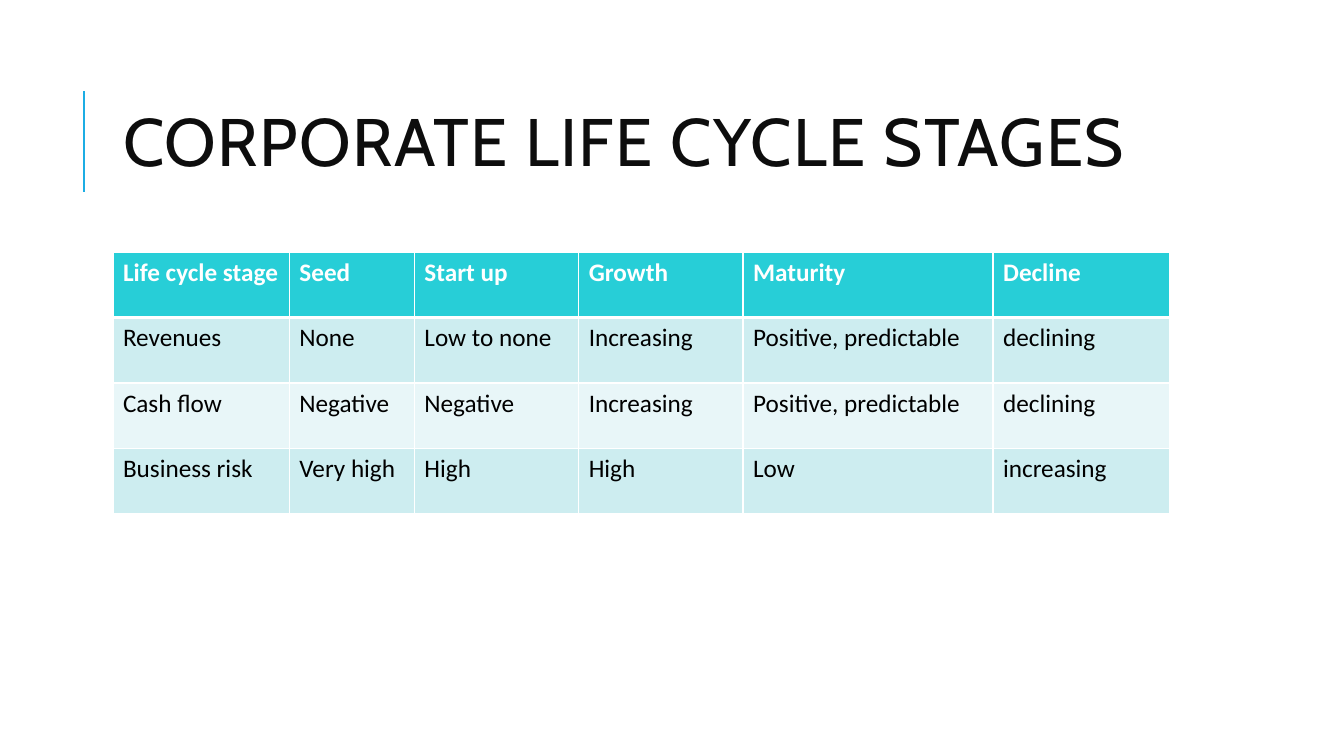
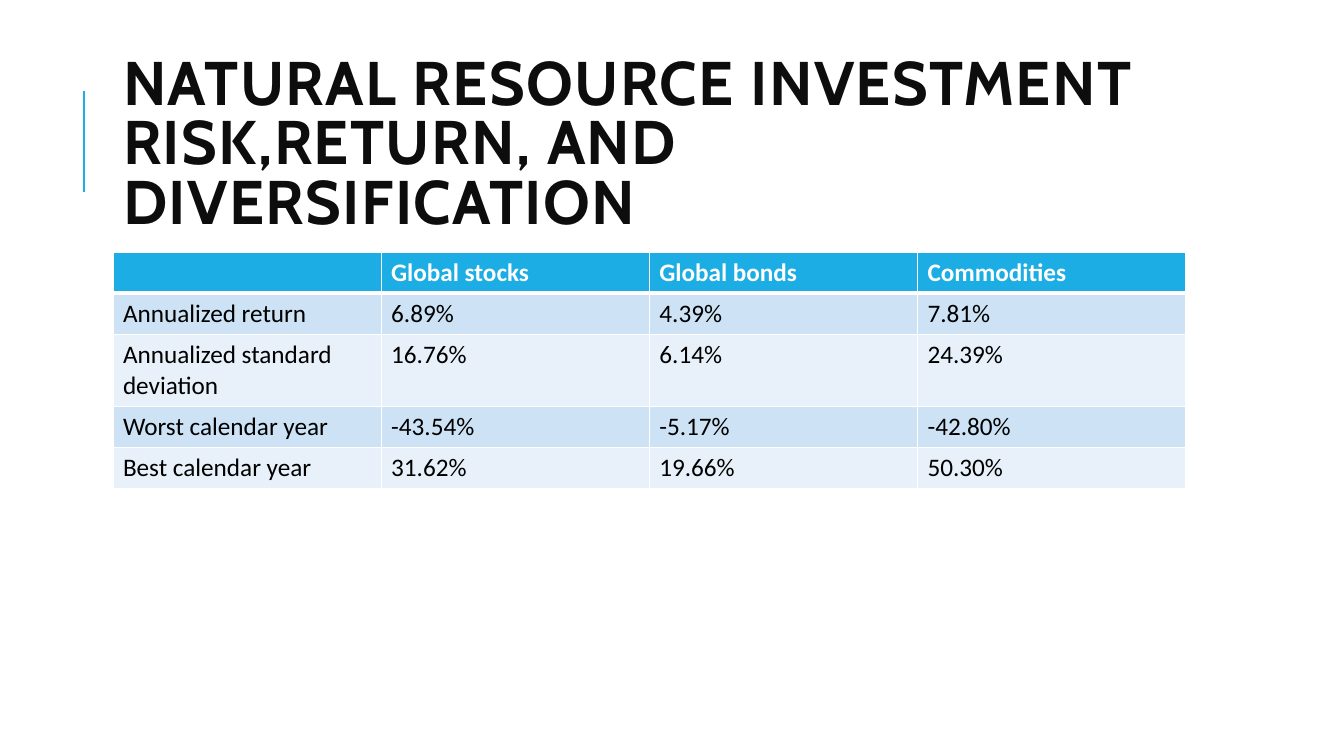
import pptx
import pptx.dml.color
import pptx.enum.shapes
import pptx.enum.text
import pptx.oxml.ns
import pptx.util
from lxml import etree

Inches = pptx.util.Inches
Pt = pptx.util.Pt

WHITE = "FFFFFF"
BLACK = "000000"
TITLE_COLOR = "0D0D0D"
ACCENT = "1CADE4"
TEAL_SCHEME = ("27CED7", "CDEDF0", "E8F6F8")
BLUE_SCHEME = (ACCENT, "CDE3F5", "E8F1FA")
TITLE_FONT = "Cabin"
BODY_FONT = "Calibri"
TITLE_BOX = (1.12, 0.64, 10.63, 1.64)

LIFE_CYCLE_ROWS = [
    ["Life cycle stage", "Seed", "Start up", "Growth", "Maturity", "Decline"],
    ["Revenues", "None", "Low to none", "Increasing", "Positive, predictable", "declining"],
    ["Cash flow", "Negative", "Negative", "Increasing", "Positive, predictable", "declining"],
    ["Business risk", "Very high", "High", "High", "Low", "increasing"],
]
RETURN_ROWS = [
    ["", "Global stocks", "Global bonds", "Commodities"],
    ["Annualized return", "6.89%", "4.39%", "7.81%"],
    ["Annualized standard deviation", "16.76%", "6.14%", "24.39%"],
    ["Worst calendar year", "-43.54%", "-5.17%", "-42.80%"],
    ["Best calendar year", "31.62%", "19.66%", "50.30%"],
]


def rgb(hex_color):
    return pptx.dml.color.RGBColor.from_string(hex_color)


def write_text(text_frame, text, *, size, font, color, bold=False, line_spacing=None, tracking=None):
    paragraph = text_frame.paragraphs[0]
    paragraph.alignment = pptx.enum.text.PP_ALIGN.LEFT
    if line_spacing:
        paragraph.line_spacing = line_spacing
    run = paragraph.add_run()
    run.text = text
    run.font.size = Pt(size)
    run.font.name = font
    run.font.bold = bold
    run.font.color.rgb = rgb(color)
    if tracking:
        run.font._element.set("spc", str(tracking * 100))


def add_title(slide, box, text, size, bold):
    left, top, width, height = box
    title = slide.shapes.title
    title.left, title.top = Inches(left), Inches(top)
    title.width, title.height = Inches(width), Inches(height)
    text_frame = title.text_frame
    text_frame.word_wrap = True
    text_frame.auto_size = pptx.enum.text.MSO_AUTO_SIZE.NONE
    text_frame.vertical_anchor = pptx.enum.text.MSO_ANCHOR.MIDDLE
    write_text(text_frame, text, size=size, font=TITLE_FONT, color=TITLE_COLOR,
               bold=bold, line_spacing=0.8, tracking=1)

    rule_x = Inches(left - 0.29)
    rule = slide.shapes.add_connector(
        pptx.enum.shapes.MSO_CONNECTOR.STRAIGHT,
        rule_x, Inches(top + 1.26), rule_x, Inches(top + 0.26))
    rule.line.color.rgb = rgb(ACCENT)
    rule.line.width = Pt(1.5)
    etree.SubElement(rule._element.spPr, pptx.oxml.ns.qn("a:effectLst"))


def set_borders(cell, top, bottom):
    properties = cell._tc.get_or_add_tcPr()
    for side, width in (("L", 1), ("R", 1), ("T", top), ("B", bottom)):
        border = etree.SubElement(properties, pptx.oxml.ns.qn(f"a:ln{side}"), w=str(Pt(width)))
        fill = etree.SubElement(border, pptx.oxml.ns.qn("a:solidFill"))
        etree.SubElement(fill, pptx.oxml.ns.qn("a:srgbClr"), val=WHITE)


def add_banded_table(slide, left, top, rows, column_widths, row_height, scheme):
    header_fill, odd_fill, even_fill = scheme
    table = slide.shapes.add_table(
        len(rows), len(column_widths), Inches(left), Inches(top),
        Inches(sum(column_widths)), Inches(row_height * len(rows))).table
    for column, width in zip(table.columns, column_widths):
        column.width = Inches(width)
    for row_index, row in enumerate(rows):
        is_header = row_index == 0
        band_fill = odd_fill if row_index % 2 else even_fill
        for column_index, text in enumerate(row):
            cell = table.cell(row_index, column_index)
            set_borders(cell, top=3 if row_index == 1 else 1, bottom=3 if is_header else 1)
            cell.fill.solid()
            cell.fill.fore_color.rgb = rgb(header_fill if is_header else band_fill)
            if text:
                write_text(cell.text_frame, text, size=18, font=BODY_FONT,
                           color=WHITE if is_header else BLACK, bold=is_header)


def add_table_slide(presentation, title, title_size, title_bold, **table_format):
    slide = presentation.slides.add_slide(presentation.slide_layouts[5])
    add_title(slide, TITLE_BOX, title, title_size, title_bold)
    add_banded_table(slide, TITLE_BOX[0], 2.5, **table_format)


def main():
    presentation = pptx.Presentation()
    presentation.slide_width = Inches(13.33)
    presentation.slide_height = Inches(7.5)
    add_table_slide(
        presentation, "CORPORATE LIFE CYCLE STAGES", 48, False,
        rows=LIFE_CYCLE_ROWS, column_widths=[1.75, 1.24, 1.63, 1.63, 2.48, 1.75],
        row_height=0.65, scheme=TEAL_SCHEME)
    add_table_slide(
        presentation, "NATURAL RESOURCE INVESTMENT RISK,RETURN, AND DIVERSIFICATION", 44, True,
        rows=RETURN_ROWS, column_widths=[2.66] * 4,
        row_height=0.41, scheme=BLUE_SCHEME)
    presentation.save("out.pptx")


if __name__ == "__main__":
    main()
